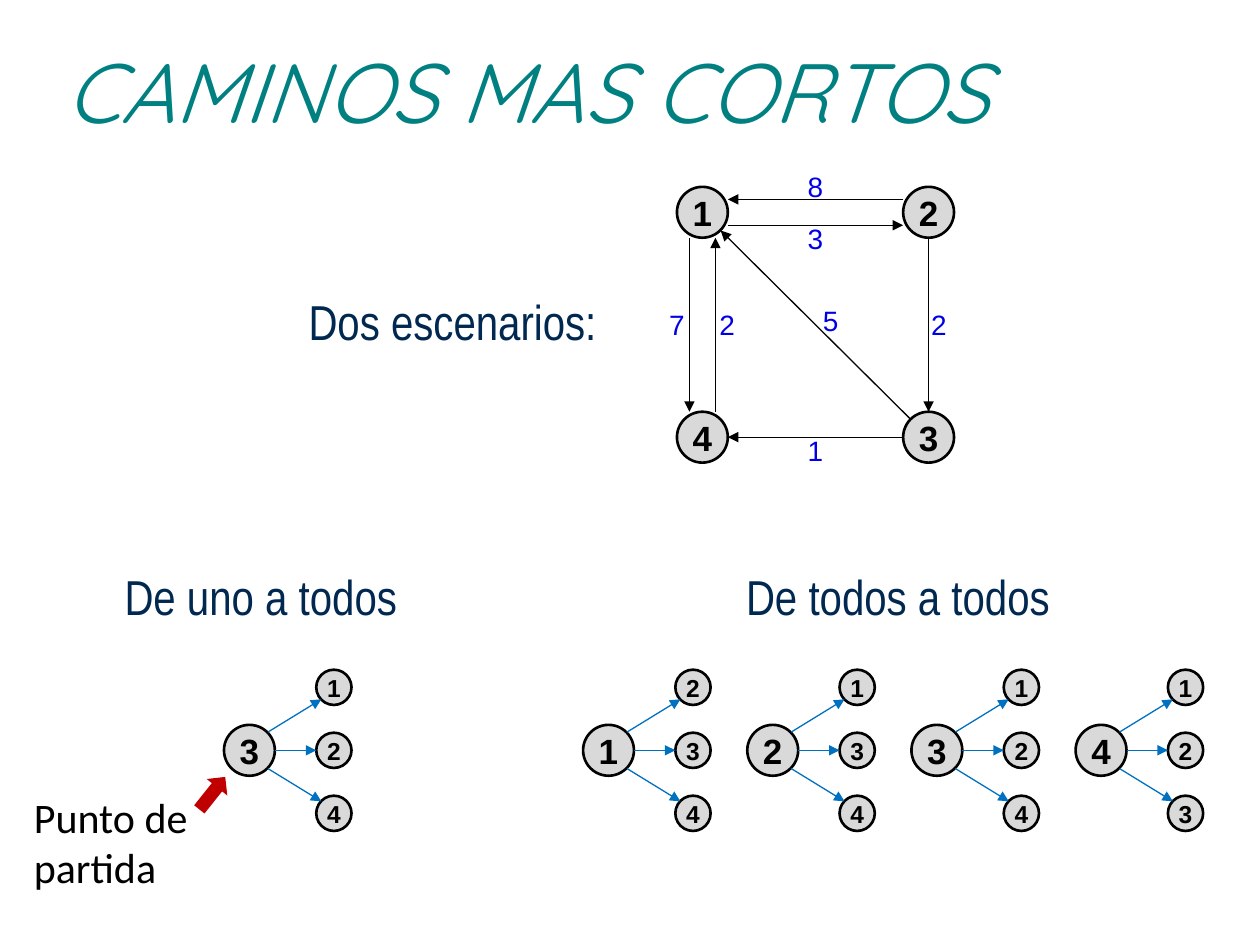
import pptx
import pptx.util
import pptx.dml.color
import pptx.enum.shapes
import pptx.enum.text
import pptx.oxml
import pptx.oxml.ns
import lxml.etree

deck = pptx.Presentation()
deck.slide_width = pptx.util.Inches(10)
deck.slide_height = pptx.util.Inches(7.5)
slide = deck.slides.add_slide(deck.slide_layouts[6])
shapes = slide.shapes
col = deck.slide_width / 100
row = deck.slide_height / 75
tint = pptx.dml.color.RGBColor.from_string
Pt = pptx.util.Pt
kinds = pptx.enum.shapes.MSO_SHAPE
align = pptx.enum.text.PP_ALIGN
middle = pptx.enum.text.MSO_ANCHOR.MIDDLE
grow = pptx.enum.text.MSO_AUTO_SIZE.SHAPE_TO_FIT_TEXT
qn = pptx.oxml.ns.qn

tight = {"margin_left": 0, "margin_right": 0, "margin_top": 0,
         "margin_bottom": 0, "vertical_anchor": middle, "word_wrap": False}


def place(x, y, w, h):
    return round(x * col), round(y * row), round(w * col), round(h * row)


def write(shape, lines, hue, font, frame, para):
    body = shape.text_frame
    for key, val in frame.items():
        setattr(body, key, val)
    body.text = lines
    for part in body.paragraphs:
        for key, val in para.items():
            setattr(part, key, val)
        for key, val in font.items():
            setattr(part.runs[0].font, key, val)
        part.runs[0].font.color.rgb = tint(hue)


title = shapes.add_textbox(*place(4.2, 0.9, 90, 12.5))
write(title, "CAMINOS MAS CORTOS", "008080",
      {"name": "Quicksand", "size": Pt(48), "italic": True},
      {"word_wrap": True, "vertical_anchor": middle}, {})

heads = [("Dos escenarios:", 23.5, 23.2, 26.9, align.LEFT, 0),
         ("De uno a todos", 8.3, 45, 29.1, align.LEFT, 0.6),
         ("De todos a todos", 56.4, 45, 29.1, align.CENTER, 0.6)]
for words, x, y, w, side, dent in heads:
    box = shapes.add_textbox(*place(x, y, w, 5.5))
    write(box, words, "002850", {"name": "Arial Narrow", "size": Pt(28)},
          {"word_wrap": True},
          {"alignment": side, "line_spacing": 0.9, "space_before": Pt(5.6)})
    prop = box.text_frame.paragraphs[0]._p.get_or_add_pPr()
    prop.set("marL", str(round(dent * col)))
    prop.set("indent", "0")

west, east, north, south = 55.75, 73.7, 16.85, 34.7
big, small = 4.04, 2.8
rim = big / 2
nodes = [("1", west, north, big, 20), ("2", east, north, big, 20),
         ("3", east, south, big, 20), ("4", west, south, big, 20)]
black, blue = "000000", "0070C0"
links = [(east - rim, south, west + rim, south, black),
         (72.3, 33.3, 57.2, 18.3, black),
         (east, north + rim, east, south - rim, black),
         (east - rim, north - 1.03, west + rim, north - 1.03, black),
         (west + rim, north + 1.03, east - rim, north + 1.03, black),
         (west - 1.03, north + rim, west - 1.03, south - rim, black),
         (west + 1.03, south - rim, west + 1.03, north + rim, black)]

level, gap, pitch = 59.55, 5, 13.03
fans = [(19.8, "3124")]
fans += [(48.3 + pitch * i, word)
         for i, word in enumerate(["1234", "2134", "3124", "4123"])]
for x, (hub, *tips) in fans:
    nodes.append((hub, x, level, big, 20))
    for step, tip in zip((-1, 0, 1), tips):
        slant = abs(step)
        nodes.append((tip, x + 6.7, level + gap * step, small, 14))
        links.append((x + rim - 0.55 * slant, level + 1.45 * step,
                      x + 5.3 + 0.4 * slant, level + 4.05 * step, blue))

for name, x, y, d, size in nodes:
    node = shapes.add_shape(kinds.OVAL, *place(x - d / 2, y - d / 2, d, d))
    node.shadow.inherit = False
    node.fill.solid()
    node.fill.fore_color.rgb = tint("D9D9D9")
    node.line.color.rgb = tint(black)
    node.line.width = Pt(1.5)
    write(node, name, black, {"name": "Arial", "size": Pt(size), "bold": True},
          tight, {"alignment": align.CENTER})

for x, y, far, low, hue in links:
    link = shapes.add_connector(pptx.enum.shapes.MSO_CONNECTOR.STRAIGHT,
                                *place(x, y, far, low))
    link.line.color.rgb = tint(hue)
    link.line.width = Pt(0.75)
    tail = lxml.etree.SubElement(link.line._get_or_add_ln(), qn("a:tailEnd"))
    tail.set("type", "triangle")
    lxml.etree.SubElement(link._element.spPr, qn("a:effectLst"))

costs = [("7", 53.1, 24.4), ("2", 57.1, 24.4), ("8", 64.1, 13.4),
         ("3", 64.1, 17.6), ("2", 73.9, 24.4), ("5", 65.3, 24.1),
         ("1", 64.1, 34.4)]
for cost, x, y in costs:
    mark = shapes.add_textbox(*place(x, y, 1.2, 2.7))
    write(mark, cost, "0000E6", {"name": "Arial", "size": Pt(16)},
          {**tight, "auto_size": grow}, {})

start = shapes.add_shape(kinds.RIGHT_ARROW, *place(15.2, 61.9, 3.3, 2.1))
start.rotation = 308.6
start.shadow.inherit = False
start.fill.solid()
start.fill.fore_color.rgb = tint("C00000")
start.line.fill.background()

note = shapes.add_textbox(*place(1.7, 62.3, 16.1, 5.5))
write(note, "Punto de\npartida", black, {"name": "Calibri", "size": Pt(24)},
      {"word_wrap": True}, {})

deck.save("out.pptx")
